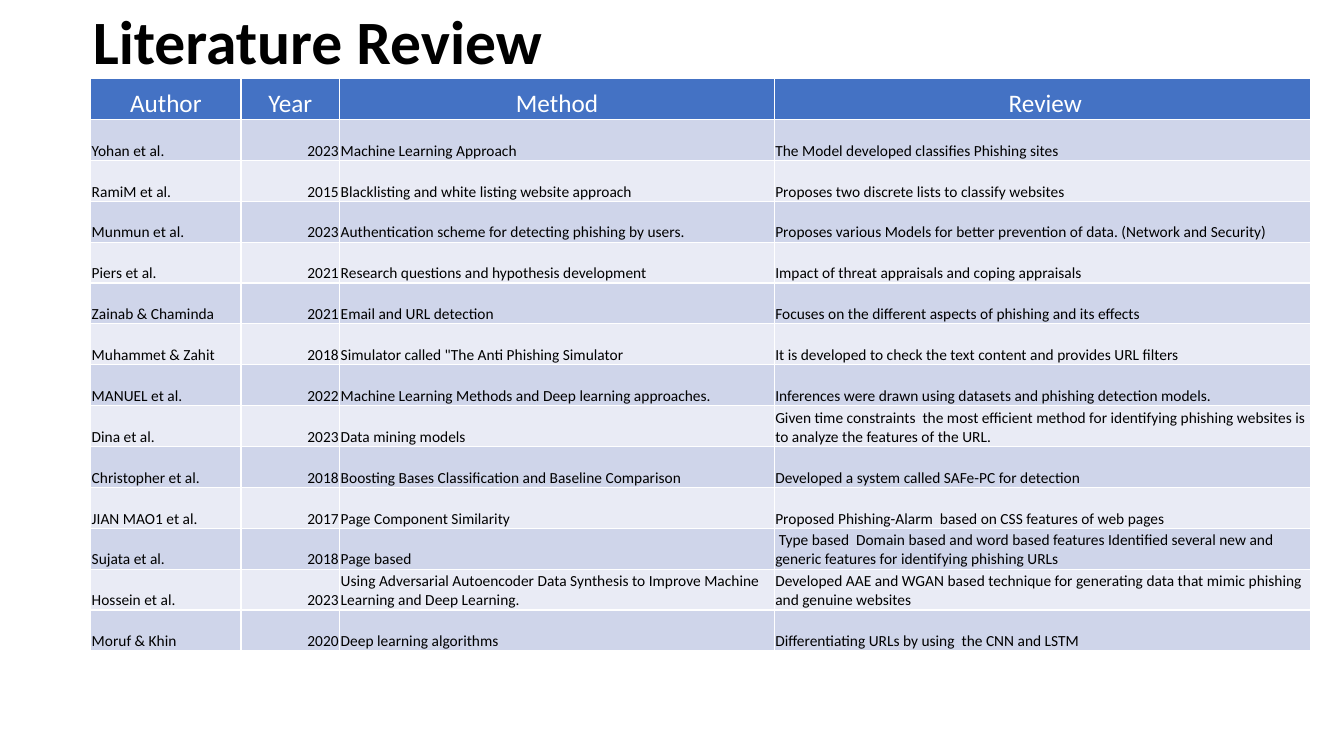
from dataclasses import dataclass

from pptx import Presentation
from pptx.dml.color import RGBColor
from pptx.enum.text import MSO_ANCHOR, MSO_AUTO_SIZE, PP_ALIGN
from pptx.util import Inches, Pt


@dataclass(frozen=True)
class Theme:
    font: str = "Calibri"
    ink: RGBColor = RGBColor(0x00, 0x00, 0x00)
    header_ink: RGBColor = RGBColor(0xFF, 0xFF, 0xFF)
    header_fill: RGBColor = RGBColor(0x44, 0x72, 0xC4)
    bands: tuple = (RGBColor(0xCF, 0xD5, 0xEA), RGBColor(0xE9, 0xEB, 0xF5))
    title_size: int = 44
    header_size: int = 18
    body_size: int = 11


THEME = Theme()

HEADINGS = ("Author", "Year", "Method", " Review")
COLUMN_WIDTHS = (1.49, 0.98, 4.31, 5.32)
COLUMN_ALIGNMENTS = (PP_ALIGN.LEFT, PP_ALIGN.RIGHT, PP_ALIGN.LEFT, PP_ALIGN.LEFT)
STUDIES = (
    ("Yohan et al.", 2023, "Machine Learning Approach",
     "The Model developed classifies Phishing sites"),
    ("RamiM et al.", 2015, "Blacklisting and white listing website approach",
     "Proposes two discrete lists to classify websites"),
    ("Munmun et al.", 2023, "Authentication scheme for detecting phishing by users.",
     "Proposes various Models for better prevention of data. (Network and Security)"),
    ("Piers et al.", 2021, "Research questions and hypothesis development",
     "Impact of threat appraisals and coping appraisals"),
    ("Zainab & Chaminda", 2021, "Email and URL detection",
     "Focuses on the different aspects of phishing and its effects"),
    ("Muhammet & Zahit", 2018, 'Simulator called "The Anti Phishing Simulator',
     "It is developed to check the text content and provides URL filters"),
    ("MANUEL et al.", 2022, "Machine Learning Methods and Deep learning approaches.",
     "Inferences were drawn using datasets and phishing detection models."),
    ("Dina et al.", 2023, "Data mining models",
     "Given time constraints  the most efficient method for identifying phishing "
     "websites is to analyze the features of the URL."),
    ("Christopher et al.", 2018, "Boosting Bases Classification and Baseline Comparison",
     "Developed a system called SAFe-PC for detection"),
    ("JIAN MAO1 et al.", 2017, "Page Component Similarity",
     "Proposed Phishing-Alarm  based on CSS features of web pages"),
    ("Sujata et al.", 2018, "Page based",
     " Type based  Domain based and word based features Identified several new and "
     "generic features for identifying phishing URLs"),
    ("Hossein et al.", 2023,
     "Using Adversarial Autoencoder Data Synthesis to Improve Machine Learning and "
     "Deep Learning.",
     "Developed AAE and WGAN based technique for generating data that mimic phishing "
     "and genuine websites"),
    ("Moruf & Khin", 2020, "Deep learning algorithms",
     "Differentiating URLs by using  the CNN and LSTM"),
)


def style_paragraph(paragraph, size, color, alignment, bold=False):
    paragraph.alignment = alignment
    paragraph.font.name = THEME.font
    paragraph.font.size = Pt(size)
    paragraph.font.bold = bold
    paragraph.font.color.rgb = color


def place_title(slide, text, left, top, width, height):
    title = slide.shapes.title
    title.left, title.top = Inches(left), Inches(top)
    title.width, title.height = Inches(width), Inches(height)
    frame = title.text_frame
    frame.text = text
    frame.auto_size = MSO_AUTO_SIZE.NONE
    frame.vertical_anchor = MSO_ANCHOR.MIDDLE
    heading = frame.paragraphs[0]
    heading.line_spacing = 0.9
    style_paragraph(heading, THEME.title_size, THEME.ink, PP_ALIGN.LEFT, bold=True)


def fill_cell(cell, text, fill, size, color, alignment):
    cell.fill.solid()
    cell.fill.fore_color.rgb = fill
    cell.vertical_anchor = MSO_ANCHOR.BOTTOM
    cell.margin_left = cell.margin_right = cell.margin_top = Inches(0.01)
    cell.margin_bottom = 0
    cell.text = str(text)
    style_paragraph(cell.text_frame.paragraphs[0], size, color, alignment)


def place_review_table(slide, left, top, width, height):
    """Draw the header and one banded row per study; widths share the box."""
    row_count = len(STUDIES) + 1
    table = slide.shapes.add_table(
        row_count, len(HEADINGS),
        Inches(left), Inches(top), Inches(width), Inches(height)).table
    for column, share in zip(table.columns, COLUMN_WIDTHS):
        column.width = Inches(width * share / sum(COLUMN_WIDTHS))
    for row in table.rows:
        row.height = Inches(height / row_count)

    for column, heading in enumerate(HEADINGS):
        fill_cell(table.cell(0, column), heading, THEME.header_fill,
                  THEME.header_size, THEME.header_ink, PP_ALIGN.CENTER)
    for index, study in enumerate(STUDIES):
        band = THEME.bands[index % len(THEME.bands)]
        for column, (value, alignment) in enumerate(zip(study, COLUMN_ALIGNMENTS)):
            fill_cell(table.cell(index + 1, column), value, band,
                      THEME.body_size, THEME.ink, alignment)


def main():
    deck = Presentation()
    deck.slide_width, deck.slide_height = Inches(13.33), Inches(7.5)
    title_only = deck.slide_layouts[5]
    slide = deck.slides.add_slide(title_only)
    place_title(slide, "Literature Review", 0.82, -0.35, 11.5, 1.59)
    place_review_table(slide, 0.9, 0.78, 12.1, 5.68)
    deck.save("out.pptx")


if __name__ == "__main__":
    main()
